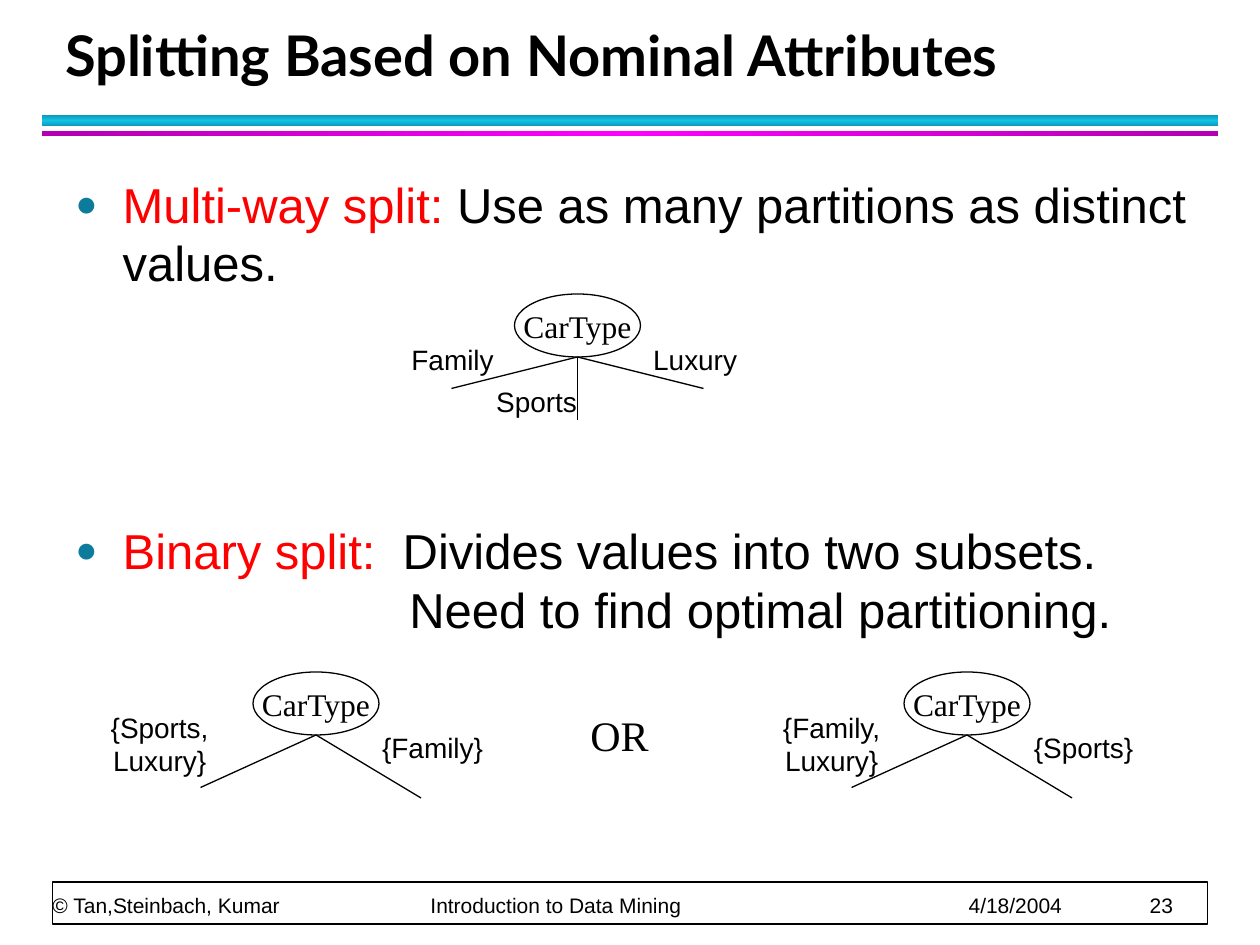
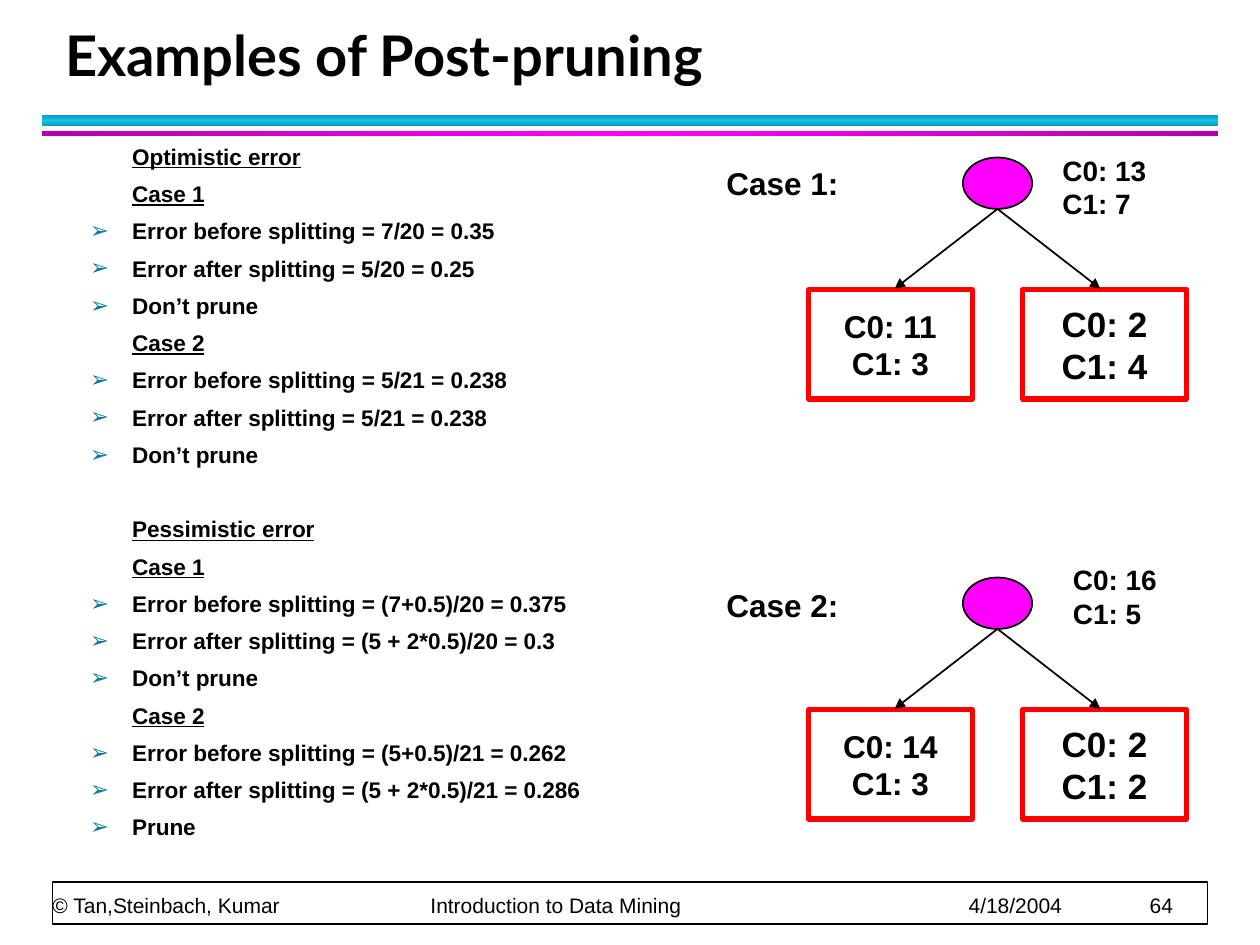
"""Build two data mining slides: nominal attribute splits and post-pruning examples."""
from lxml.etree import SubElement
from pptx import Presentation
from pptx.dml.color import RGBColor
from pptx.enum.shapes import MSO_CONNECTOR, MSO_SHAPE
from pptx.enum.text import MSO_ANCHOR, MSO_AUTO_SIZE, PP_ALIGN
from pptx.oxml.ns import qn
from pptx.util import Inches, Pt

BLACK = RGBColor(0x00, 0x00, 0x00)
WHITE = RGBColor(0xFF, 0xFF, 0xFF)
RED = RGBColor(0xFF, 0x00, 0x00)
MAGENTA = RGBColor(0xFF, 0x00, 0xFF)
PURPLE = RGBColor(0xB2, 0x00, 0xB2)
CYAN = RGBColor(0x12, 0xC2, 0xE9)
TEAL = RGBColor(0x0E, 0x9B, 0xBA)
BULLET_BLUE = RGBColor(0x0C, 0x7B, 0x9C)
COLUMNS, ROWS = 120, 90
LINE_HEIGHT = 1.2

deck = Presentation()
deck.slide_width, deck.slide_height = Inches(10), Inches(7.5)


def grid(*cells):
    return [round(cell * deck.slide_width / COLUMNS) for cell in cells]


def write(box, text, size, font="Arial", bold=False, align=PP_ALIGN.LEFT,
          anchor=MSO_ANCHOR.TOP, wrap=True):
    frame = box.text_frame
    frame.text = text
    frame.word_wrap = wrap
    frame.auto_size = MSO_AUTO_SIZE.NONE
    frame.vertical_anchor = anchor
    for para in frame.paragraphs:
        para.alignment = align
        para.line_spacing = Pt(LINE_HEIGHT * size)
        for span in para.runs:
            span.font.name, span.font.size, span.font.bold = font, Pt(size), bold
            span.font.color.rgb = BLACK
    return frame


centred = {"align": PP_ALIGN.CENTER, "anchor": MSO_ANCHOR.MIDDLE}
bullets = []
branches = []

pages = []
for title_text, number in (("Splitting Based on Nominal Attributes", 23),
                           ("Examples of Post-pruning", 64)):
    page = deck.slides.add_slide(deck.slide_layouts[5])
    pages.append(page)
    title = page.shapes.title
    title.left, title.top, title.width, title.height = grid(5, 2, 113, 7)
    write(title, title_text, 32, font="Lato", bold=True, anchor=MSO_ANCHOR.BOTTOM)

    for top, height, angle, edge, middle in ((11, 1, 90, TEAL, CYAN),
                                             (12.5, 0.5, 0, PURPLE, MAGENTA)):
        band = page.shapes.add_shape(MSO_SHAPE.RECTANGLE, *grid(4, top, 112, height))
        band.shadow.inherit = False
        band.line.fill.background()
        band.fill.gradient()
        band.fill.gradient_angle = angle
        stops = band.element.spPr.find(".//" + qn("a:gsLst"))
        for stop in list(stops):
            stops.remove(stop)
        for share, colour in ((0, edge), (50, middle), (100, edge)):
            stop = SubElement(stops, qn("a:gs"), pos=str(share * 1000))
            SubElement(stop, qn("a:srgbClr"), val=str(colour))

    footer_frame = page.shapes.add_shape(MSO_SHAPE.RECTANGLE, *grid(5, 84, 110, 4))
    footer_frame.shadow.inherit = False
    footer_frame.fill.solid()
    footer_frame.fill.fore_color.rgb = WHITE
    footer_frame.line.color.rgb = BLACK
    footer_frame.line.width = Pt(1)
    footer = page.shapes.add_textbox(*grid(5, 80.6, 110, 6.8))
    frame = write(footer, f"© Tan,Steinbach, Kumar\tIntroduction to Data Mining\t4/18/2004\t{number}",
                  12, anchor=MSO_ANCHOR.BOTTOM)
    frame.margin_left = frame.margin_right = frame.margin_top = frame.margin_bottom = 0
    tabs = SubElement(frame.paragraphs[0]._p.get_or_add_pPr(), qn("a:tabLst"))
    for column in (36, 87.25, 104.5):
        SubElement(tabs, qn("a:tab"), pos=str(grid(column)[0]), algn="l")

split_page, pruning_page = pages

body = split_page.shapes.add_textbox(*grid(6, 16, 110, 49))
multi_way, binary, partitioning = write(
    body, "Multi-way split:\nBinary split:\nNeed to find optimal partitioning.", 28).paragraphs
for para, explanation in ((multi_way, " Use as many partitions as distinct values."),
                          (binary, "  Divides values into two subsets.")):
    para.runs[0].font.color.rgb = RED
    span = para.add_run()
    span.text = explanation
    span.font.name, span.font.size = "Arial", Pt(28)
    span.font.color.rgb = BLACK
    bullets.append((para, "●", 75, 4.5, 4.5))
binary.space_before = Pt(131)
partitioning._p.get_or_add_pPr().set("marL", str(grid(31.8)[0]))

binary_ends = ((-11, 5), (10, 6))
trees = (
    (55, 34, ((-12, 3), (0, 6), (12, 3)),
     (("Family", -11.9, 0.2), ("Sports", -3.9, 4.2), ("Luxury", 11.2, 0.2))),
    (92.1, 70, binary_ends, (("{Family,\vLuxury}", -12.9, 0.85), ("{Sports}", 11.1, 1.2))),
    (30.1, 70, binary_ends, (("{Sports,\vLuxury}", -14.9, 0.85), ("{Family}", 11.1, 1.2))),
)
for apex_x, apex_y, ends, labels in trees:
    node = split_page.shapes.add_shape(MSO_SHAPE.OVAL, *grid(apex_x - 6, apex_y - 6, 12, 6))
    node.shadow.inherit = False
    node.fill.solid()
    node.fill.fore_color.rgb = WHITE
    node.line.color.rgb = BLACK
    node.line.width = Pt(0.75)
    write(node, "CarType", 18, font="Times New Roman", wrap=False, **centred)
    for across, down in ends:
        branches.append((split_page, apex_x, apex_y, apex_x + across, apex_y + down, 0.75, False))
    for text, across, down in labels:
        label = split_page.shapes.add_textbox(
            *grid(apex_x + across - 7, apex_y + down - 4, 14, 8))
        write(label, text, 16, **centred)
choice = split_page.shapes.add_textbox(*grid(54, 67, 10, 6))
write(choice, "OR", 24, font="Times New Roman", **centred)

error_lines = (
    "Optimistic error", "Case 1",
    "Error before splitting = 7/20 = 0.35", "Error after splitting = 5/20 = 0.25", "Don’t prune",
    "Case 2",
    "Error before splitting = 5/21 = 0.238", "Error after splitting = 5/21 = 0.238", "Don’t prune",
    "Pessimistic error", "Case 1",
    "Error before splitting = (7+0.5)/20 = 0.375",
    "Error after splitting = (5 + 2*0.5)/20 = 0.3", "Don’t prune",
    "Case 2",
    "Error before splitting = (5+0.5)/21 = 0.262",
    "Error after splitting = (5 + 2*0.5)/21 = 0.286", "Prune",
)
errors = pruning_page.shapes.add_textbox(*grid(5.4, 13, 60.6, 68))
for index, para in enumerate(write(errors, "\n".join(error_lines), 12.9, bold=True).paragraphs):
    if index:
        para.space_before = Pt(27.1 if para.text.startswith("Pessimistic") else 5.8)
    if para.text.startswith("Case") or para.text.endswith(" error"):
        para.runs[0].font.underline = True
        para._p.get_or_add_pPr().set("marL", str(grid(6)[0]))
    else:
        bullets.append((para, "➢", 100, 6, 4))

cases = (
    ("Case 1:", 15, 15, "C0: 13\nC1: 7", 100, 14, ("C0: 11\nC1: 3", "C0: 2\nC1: 4")),
    ("Case 2:", 55, 55.2, "C0: 16\nC1: 5", 101, 53, ("C0: 14\nC1: 3", "C0: 2\nC1: 2")),
)
for name, top, name_top, root_counts, counts_left, counts_top, leaf_counts in cases:
    root = pruning_page.shapes.add_shape(MSO_SHAPE.OVAL, *grid(91.7, top, 6.6, 4.9))
    root.shadow.inherit = False
    root.fill.solid()
    root.fill.fore_color.rgb = MAGENTA
    root.line.color.rgb = BLACK
    root.line.width = Pt(1)
    for left, size, counts in zip((77, 97.4), (18, 20), leaf_counts):
        branch_end = 85.2 if left < 95 else 104.8
        branches.append((pruning_page, 95, top + 4.9, branch_end, top + 12.5, 1, True))
        leaf = pruning_page.shapes.add_shape(MSO_SHAPE.RECTANGLE, *grid(left, top + 12.6, 15.6, 10.4))
        leaf.shadow.inherit = False
        leaf.fill.background()
        leaf.line.color.rgb = RED
        leaf.line.width = Pt(3)
        write(leaf, counts, size, bold=True, wrap=False, **centred)
    case_label = pruning_page.shapes.add_textbox(*grid(68, name_top, 16, 4.8))
    write(case_label, name, 18, bold=True)
    root_label = pruning_page.shapes.add_textbox(*grid(counts_left, counts_top, 15, 7.7))
    write(root_label, root_counts, 16, bold=True)

for page, start_x, start_y, end_x, end_y, width, arrow in branches:
    branch = page.shapes.add_connector(MSO_CONNECTOR.STRAIGHT, *grid(start_x, start_y, end_x, end_y))
    branch.line.color.rgb = BLACK
    branch.line.width = Pt(width)
    properties = branch.element.spPr
    if arrow:
        SubElement(properties.find(qn("a:ln")), qn("a:tailEnd"), type="triangle")
    SubElement(properties, qn("a:effectLst"))

for para, symbol, percent, margin, hang in bullets:
    properties = para._p.get_or_add_pPr()
    properties.set("marL", str(grid(margin)[0]))
    properties.set("indent", str(-grid(hang)[0]))
    colour = SubElement(properties, qn("a:buClr"))
    SubElement(colour, qn("a:srgbClr"), val=str(BULLET_BLUE))
    SubElement(properties, qn("a:buSzPct"), val=str(percent * 1000))
    SubElement(properties, qn("a:buFont"), typeface="Arial")
    SubElement(properties, qn("a:buChar"), char=symbol)

deck.save("out.pptx")
